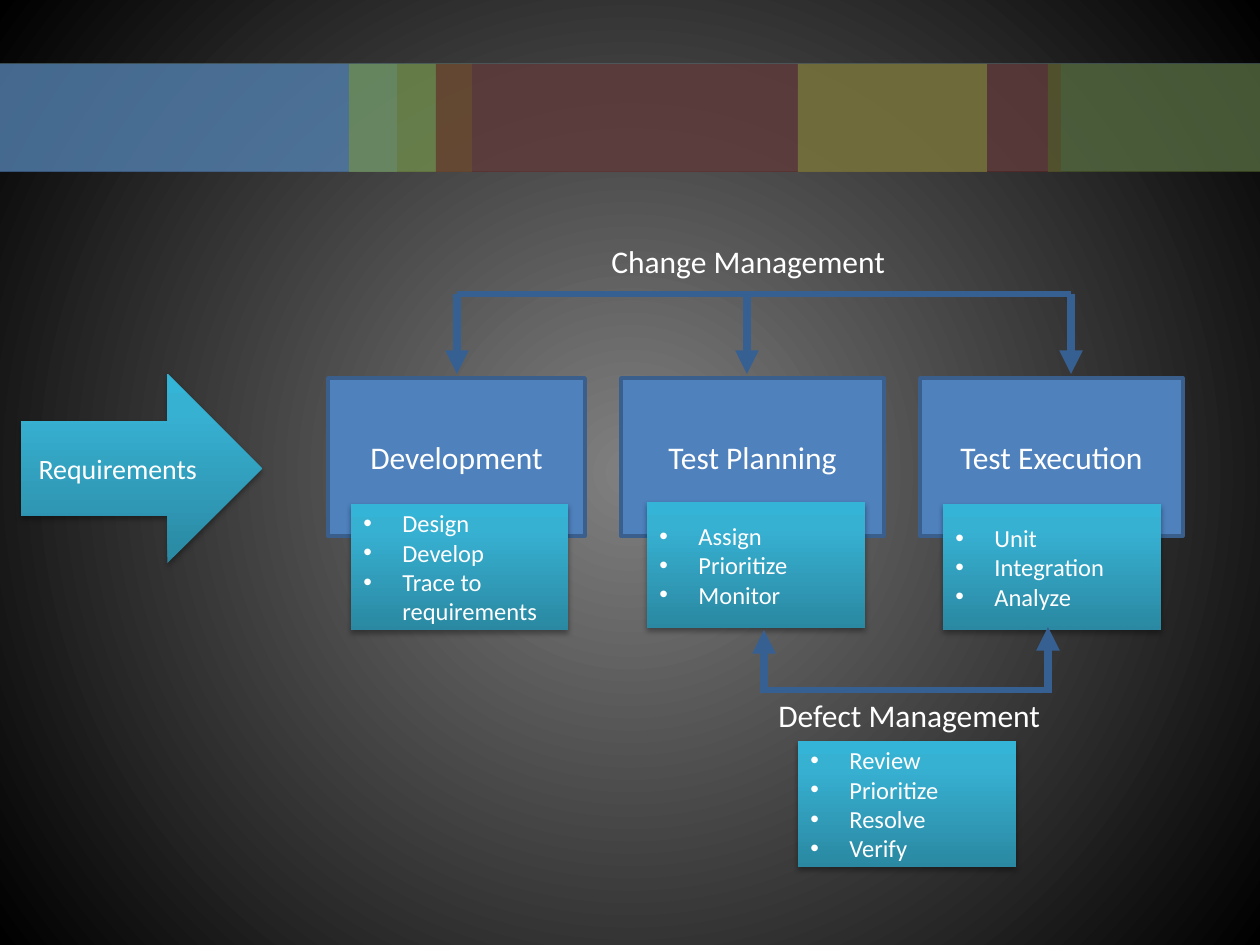
"""Build a slide showing a development and test process flow."""
from lxml import etree
from pptx import Presentation
from pptx.dml.color import RGBColor
from pptx.enum.shapes import MSO_CONNECTOR, MSO_SHAPE
from pptx.enum.text import MSO_ANCHOR, MSO_AUTO_SIZE, PP_ALIGN
from pptx.oxml import parse_xml
from pptx.oxml.ns import qn
from pptx.util import Emu, Pt

RECT, ARROW = MSO_SHAPE.RECTANGLE, MSO_SHAPE.RIGHT_ARROW
STRAIGHT = MSO_CONNECTOR.STRAIGHT
TOP, MIDDLE = MSO_ANCHOR.TOP, MSO_ANCHOR.MIDDLE
LEFT, CENTER = PP_ALIGN.LEFT, PP_ALIGN.CENTER
FIT_SHAPE = MSO_AUTO_SIZE.SHAPE_TO_FIT_TEXT
FONT, WHITE, BLUE, BORDER, FLOW = "Calibri", "FFFFFF", "4F81BD", "3A5F8C", "376092"
NS = 'xmlns:a="http://schemas.openxmlformats.org/drawingml/2006/main"'
STOP = '<a:gs pos="{}000"><a:srgbClr val="{}"/></a:gs>'
GRADIENT = f'<a:gradFill {NS} rotWithShape="1"><a:gsLst>{{}}</a:gsLst>{{}}</a:gradFill>'
SHADOW = (f'<a:effectLst {NS}><a:outerShdw blurRad="39370" dist="22860" dir="5400000" '
          'rotWithShape="0"><a:srgbClr val="000000"><a:alpha val="35000"/></a:srgbClr>'
          '</a:outerShdw></a:effectLst>')
rgb = RGBColor.from_string


def px(*lengths):
    return [Emu(round(length * 914400 / 126)) for length in lengths]


def write(sp, text, size=18, align=CENTER, anchor=MIDDLE, bullet=False):
    tf = sp.text_frame
    tf.word_wrap = True
    tf.vertical_anchor = anchor
    for i, line in enumerate(text.split("\n")):
        p = tf.add_paragraph() if i else tf.paragraphs[0]
        p.alignment = align
        r = p.add_run()
        r.text = line
        r.font.size, r.font.name = Pt(size), FONT
        r.font.color.rgb = rgb(WHITE)
        if bullet:
            pPr = p._p.get_or_add_pPr()
            indent = px(39)[0]
            pPr.set("marL", str(indent))
            pPr.set("indent", str(-indent))
            etree.SubElement(pPr, qn("a:buFont")).set("typeface", "Arial")
            etree.SubElement(pPr, qn("a:buChar")).set("char", "•")


prs = Presentation()
prs.slide_width, prs.slide_height = px(1260, 945)
s = prs.slides.add_slide(prs.slide_layouts[6])

s.background.fill.gradient()
grad = next(s.element.iter(qn("a:gradFill")))
stops = STOP.format(0, "808080") + STOP.format(100, "000000")
focus = '<a:path path="circle"><a:fillToRect l="50000" t="50000" r="50000" b="50000"/></a:path>'
grad.getparent().replace(grad, parse_xml(GRADIENT.format(stops, focus)))

bands = [
    (-32, 63, 1323, "567176"),
    (0, 64, 397, BLUE),
    (349, 64, 123, "77933C"),
    (436, 64, 625, "632523"),
    (1048, 64, 212, "4F6228"),
    (798, 64, 189, "7F8C3C"),
]
for left, top, width, color in bands:
    sp = s.shapes.add_shape(RECT, *px(left, top, width, 108))
    sp.shadow.inherit = False
    sp.fill.solid()
    sp.fill.fore_color.rgb = rgb(color)
    clr = next(sp._element.spPr.iter(qn("a:srgbClr")))
    etree.SubElement(clr, qn("a:alpha")).set("val", "60000")
    sp.line.fill.background()

phases = [
    (328, 257, "Development"),
    (621, 263, "Test Planning"),
    (920, 263, "Test Execution"),
]
for left, width, name in phases:
    sp = s.shapes.add_shape(RECT, *px(left, 378, width, 158))
    sp.shadow.inherit = False
    sp.fill.solid()
    sp.fill.fore_color.rgb = rgb(BLUE)
    sp.line.color.rgb = rgb(BORDER)
    sp.line.width = Pt(2)
    write(sp, name)

task = {"size": 14, "align": LEFT, "bullet": True}
cards = [
    (ARROW, 21, 374, 241, 189, "Requirements", {"size": 16}),
    (RECT, 351, 504, 217, 126, "Design\nDevelop\nTrace to requirements", task),
    (RECT, 647, 502, 218, 126, "Assign\nPrioritize\nMonitor", task),
    (RECT, 798, 741, 218, 126, "Review\nPrioritize\nResolve\nVerify", task),
    (RECT, 943, 504, 218, 126, "Unit\nIntegration\nAnalyze", task),
]
stops = "".join(STOP.format(*stop) for stop in
                [(0, "2A88A2"), (80, "37B1D2"), (100, "34B4D6")])
for kind, left, top, width, height, text, style in cards:
    sp = s.shapes.add_shape(kind, *px(left, top, width, height))
    sp.fill.gradient()
    sp.line.fill.background()
    spPr = sp._element.spPr
    spPr.replace(spPr.find(qn("a:gradFill")),
                 parse_xml(GRADIENT.format(stops, '<a:lin ang="16200000" scaled="0"/>')))
    spPr.append(parse_xml(SHADOW))
    write(sp, text, **style)

flows = [
    (457, 294, 457, 374, True),
    (747, 294, 747, 374, True),
    (1071, 294, 1071, 374, True),
    (457, 294, 1071, 294, False),
    (764, 693, 764, 630, True),
    (1048, 690, 1048, 627, True),
    (762, 690, 1052, 690, False),
]
for x1, y1, x2, y2, pointed in flows:
    cxn = s.shapes.add_connector(STRAIGHT, *px(x1, y1, x2, y2))
    cxn.line.color.rgb = rgb(FLOW)
    cxn.line.width = Pt(4.5 if pointed else 3)
    if pointed:
        etree.SubElement(cxn.line._get_or_add_ln(), qn("a:tailEnd")).set("type", "triangle")
    etree.SubElement(cxn._element.spPr, qn("a:effectLst"))

for left, top, label in [(599, 236, "Change Management"), (766, 690, "Defect Management")]:
    sp = s.shapes.add_textbox(*px(left, top, 325, 50))
    write(sp, label, align=LEFT, anchor=TOP)
    sp.text_frame.auto_size = FIT_SHAPE

prs.save("out.pptx")
